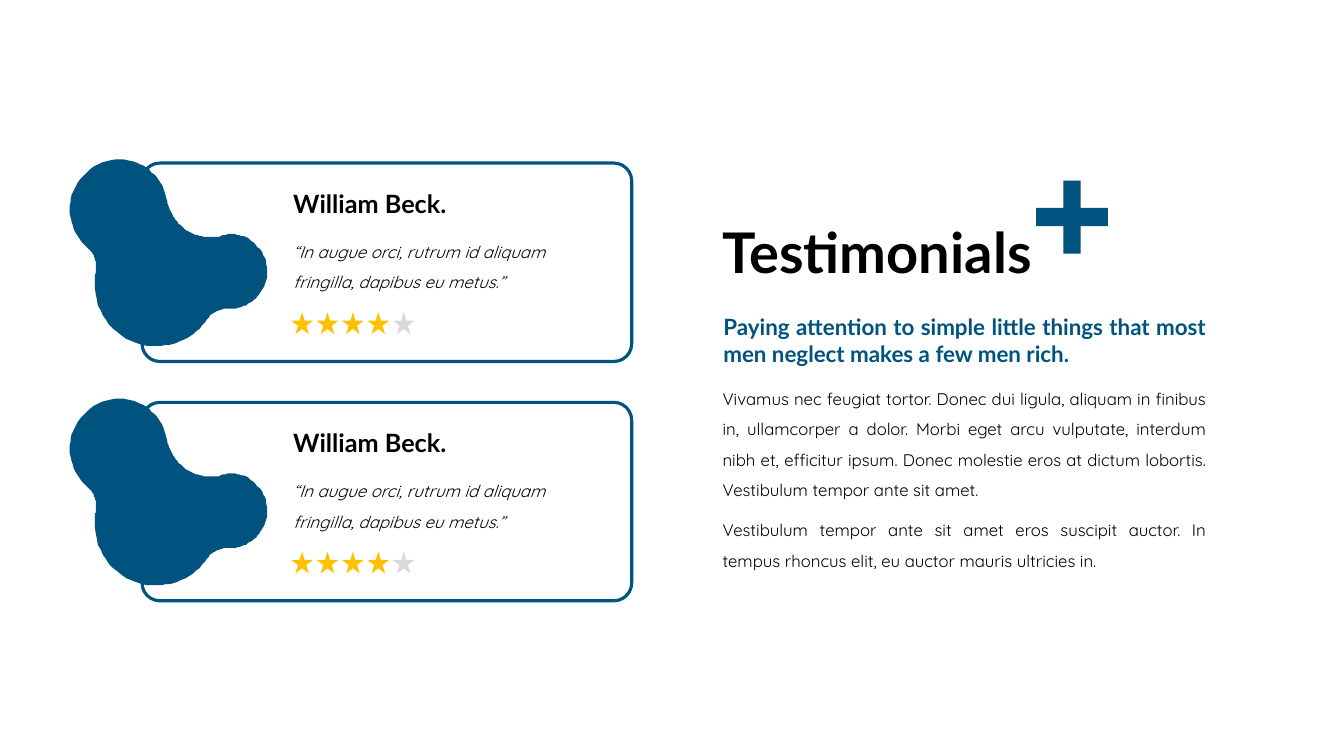
from typing import NamedTuple

from pptx import Presentation
from pptx.dml.color import RGBColor
from pptx.enum.shapes import MSO_SHAPE as Preset
from pptx.enum.text import MSO_ANCHOR as Anchor, MSO_AUTO_SIZE as AutoSize, PP_ALIGN as Align
from pptx.shapes.autoshape import Shape
from pptx.slide import Slide
from pptx.text.text import TextFrame
from pptx.util import Cm, Pt

BLUE = RGBColor(0x00, 0x52, 0x7F)
BLACK = RGBColor(0x00, 0x00, 0x00)
WHITE = RGBColor(0xFF, 0xFF, 0xFF)
GOLD = RGBColor(0xFF, 0xC0, 0x00)
GREY = RGBColor(0xD9, 0xD9, 0xD9)
HEADING_FONT = "Lato"
BODY_FONT = "Quicksand"

CARD_TOP = 4.11
CARD_PITCH = 6.03
STAR_COUNT = 5
STAR_PITCH = 0.64
CURVE_STEPS = 16

# Blob outline: start point, then Bezier segments (two controls and an end)
BLOB_UNIT = Cm(0.0254)
BLOB_START = (163, 153)
BLOB_CURVES = [
    ((175, 154), (187, 148), (194, 137)),
    ((205, 123), (203, 102), (189, 89)),
    ((180, 80), (167, 77), (155, 81)),
    ((144, 84), (132, 82), (122, 76)),
    ((112, 69), (104, 59), (102, 47)),
    ((99, 29), (87, 13), (68, 7)),
    ((44, 0), (18, 13), (9, 36)),
    ((0, 56), (7, 79), (23, 93)),
    ((30, 98), (32, 107), (31, 116)),
    ((30, 122), (29, 127), (30, 133)),
    ((32, 164), (57, 189), (88, 190)),
    ((110, 191), (129, 181), (141, 164)),
    ((146, 157), (154, 153), BLOB_START),
]


class Box(NamedTuple):
    """Position and size in centimetres."""
    left: float
    top: float
    width: float
    height: float

    def lengths(self) -> list[Cm]:
        return [Cm(value) for value in self]


class Testimonial(NamedTuple):
    author: str
    quote: str
    rating: int


TESTIMONIALS = [
    Testimonial("William Beck.",
                "“In augue orci, rutrum id aliquam fringilla, dapibus eu metus.”", 4),
] * 2


def write_text(frame: TextFrame, text: str, *, font: str = BODY_FONT, size: float = 12,
               color: RGBColor = BLACK, bold: bool = False, italic: bool = False,
               align: Align = Align.LEFT, spacing: float = 1.0,
               anchor: Anchor = Anchor.TOP,
               auto_size: AutoSize = AutoSize.SHAPE_TO_FIT_TEXT) -> None:
    frame.word_wrap = True
    frame.auto_size = auto_size
    frame.vertical_anchor = anchor
    frame.text = text
    paragraph = frame.paragraphs[0]
    paragraph.alignment = align
    paragraph.line_spacing = spacing
    style = paragraph.runs[0].font
    style.name, style.size = font, Pt(size)
    style.bold, style.italic = bold, italic
    style.color.rgb = color


def add_text(slide: Slide, box: Box, text: str, **text_format) -> None:
    write_text(slide.shapes.add_textbox(*box.lengths()).text_frame, text, **text_format)


def paint(shape: Shape, fill: RGBColor) -> None:
    shape.shadow.inherit = False
    shape.fill.solid()
    shape.fill.fore_color.rgb = fill
    shape.line.fill.background()


def add_preset(slide: Slide, preset: Preset, box: Box, fill: RGBColor) -> Shape:
    shape = slide.shapes.add_shape(preset, *box.lengths())
    paint(shape, fill)
    return shape


def blob_points() -> list[tuple[float, float]]:
    points = []
    start = BLOB_START
    for first, second, end in BLOB_CURVES:
        for step in range(1, CURVE_STEPS + 1):
            t = step / CURVE_STEPS
            u = 1 - t
            points.append(tuple(
                u**3 * a + 3 * u * u * t * b + 3 * u * t * t * c + t**3 * d
                for a, b, c, d in zip(start, first, second, end)))
        start = end
    return points


def add_blob(slide: Slide, left: float, top: float) -> None:
    outline = slide.shapes.build_freeform(*BLOB_START, scale=float(BLOB_UNIT))
    outline.add_line_segments(blob_points(), close=True)
    paint(outline.convert_to_shape(Cm(left), Cm(top)), BLUE)


def add_testimonial(slide: Slide, testimonial: Testimonial, top: float) -> None:
    card = add_preset(slide, Preset.ROUNDED_RECTANGLE, Box(3.58, top, 12.34, 5), WHITE)
    card.adjustments[0] = 0.09
    card.line.color.rgb = BLUE
    card.line.width = Pt(2.25)
    add_blob(slide, 1.63, top - 0.22)
    add_text(slide, Box(7.14, top + 1.6, 8.43, 1.78), testimonial.quote,
             italic=True, spacing=1.5, anchor=Anchor.MIDDLE)
    add_text(slide, Box(7.14, top + 0.51, 6.65, 1.02), testimonial.author,
             font=HEADING_FONT, size=18, bold=True, anchor=Anchor.MIDDLE)
    for index in range(STAR_COUNT):
        add_preset(slide, Preset.STAR_5_POINT,
                   Box(7.34 + index * STAR_PITCH, top + 3.76, 0.55, 0.55),
                   GOLD if index < testimonial.rating else GREY)


def main() -> None:
    deck = Presentation()
    deck.slide_width, deck.slide_height = Cm(33.87), Cm(19.05)
    slide = deck.slides.add_slide(deck.slide_layouts.get_by_name("Title Only"))

    # Title with plus sign
    title = slide.shapes.title
    title.left, title.top, title.width, title.height = Box(17.96, 4.6, 12.93, 3.68).lengths()
    write_text(title.text_frame, "Testimonials", font=HEADING_FONT, size=40, bold=True,
               spacing=0.9, anchor=Anchor.MIDDLE, auto_size=AutoSize.NONE)
    plus = add_preset(slide, Preset.CROSS, Box(26.11, 4.55, 1.81, 1.84), BLUE)
    plus.adjustments[0] = 0.38

    # Introduction
    add_text(slide, Box(17.98, 7.77, 12.67, 1.63),
             "Paying attention to simple little things that most men neglect "
             "makes a few men rich.",
             font=HEADING_FONT, size=16, color=BLUE, bold=True, align=Align.JUSTIFY)
    add_text(slide, Box(17.96, 9.42, 12.7, 3.3),
             "Vivamus nec feugiat tortor. Donec dui ligula, aliquam in finibus in, "
             "ullamcorper a dolor. Morbi eget arcu vulputate, interdum nibh et, "
             "efficitur ipsum. Donec molestie eros at dictum lobortis. "
             "Vestibulum tempor ante sit amet.",
             align=Align.JUSTIFY, spacing=1.5)
    add_text(slide, Box(17.96, 12.73, 12.7, 1.78),
             "Vestibulum tempor ante sit amet eros suscipit auctor. In tempus rhoncus "
             "elit, eu auctor mauris ultricies in.",
             align=Align.JUSTIFY, spacing=1.5)

    # Testimonial cards
    for row, testimonial in enumerate(TESTIMONIALS):
        add_testimonial(slide, testimonial, CARD_TOP + row * CARD_PITCH)

    deck.save("out.pptx")


if __name__ == "__main__":
    main()
